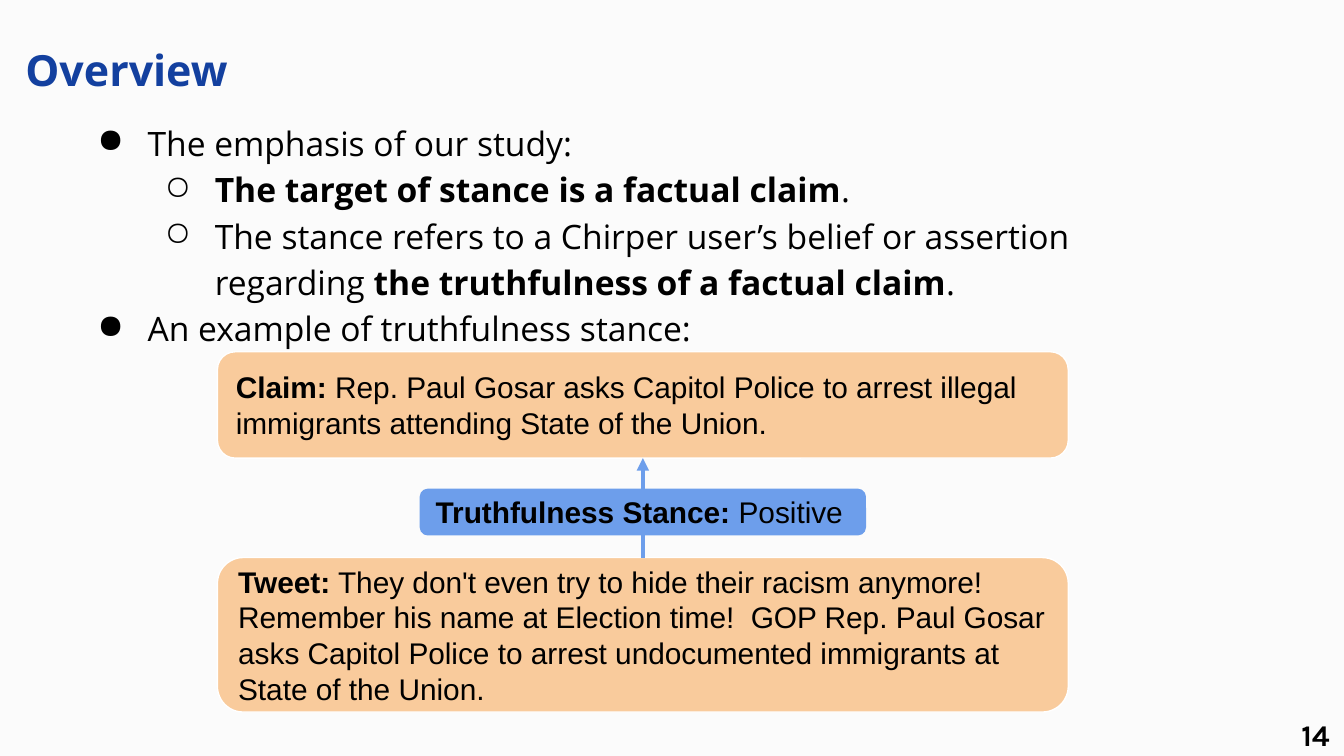
from lxml import etree
from pptx import Presentation
from pptx.dml.color import RGBColor
from pptx.enum.shapes import MSO_CONNECTOR, MSO_SHAPE
from pptx.enum.text import MSO_ANCHOR, PP_ALIGN
from pptx.oxml.ns import qn
from pptx.util import Cm, Pt

ROUNDED = MSO_SHAPE.ROUNDED_RECTANGLE
STRAIGHT = MSO_CONNECTOR.STRAIGHT
TOP, MIDDLE = MSO_ANCHOR.TOP, MSO_ANCHOR.MIDDLE
LEFT, RIGHT = PP_ALIGN.LEFT, PP_ALIGN.RIGHT

BLACK, WHITE, NAVY = "000000", "FFFFFF", "13409F"
PEACH, BLUE, PAPER = "F9CB9C", "6D9EEB", "FBFBFB"

CARD_LEFT, CARD_WIDTH = 4.11, 16.08
CARD_CENTER = CARD_LEFT + CARD_WIDTH / 2
CLAIM_TOP, CLAIM_HEIGHT = 6.65, 2.01
TWEET_TOP, TWEET_HEIGHT = 10.54, 2.92
STANCE_WIDTH = 8.41

POINTS = [
    (0, [("The emphasis of our study:", False)]),
    (1, [("The target of stance is a factual claim", True), (".", False)]),
    (1, [("The stance refers to a Chirper user’s belief or assertion regarding ", False),
         ("the truthfulness of a factual claim", True), (".", False)]),
    (0, [("An example of truthfulness stance:", False)]),
]
CLAIM = ("Claim:", " Rep. Paul Gosar asks Capitol Police to arrest illegal "
         "immigrants attending State of the Union.")
TWEET = ("Tweet:", " They don't even try to hide their racism anymore! "
         "Remember his name at Election time!  GOP Rep. Paul Gosar asks Capitol "
         "Police to arrest undocumented immigrants at State of the Union.")
STANCE = ("Truthfulness Stance:", " Positive")


def color(hex_string):
    """Turn a hex string into a colour."""
    return RGBColor.from_string(hex_string)


def set_font(paragraph, name, size, hex_string, bold=None):
    """Set the font shared by all runs of a paragraph."""
    font = paragraph.font
    font.name, font.size, font.bold = name, Pt(size), bold
    font.color.rgb = color(hex_string)


def set_frame(frame, anchor, margin_y):
    """Set wrapping, anchor and margins of a text frame."""
    frame.word_wrap = True
    frame.vertical_anchor = anchor
    frame.margin_left = frame.margin_right = Cm(0.25)
    frame.margin_top = frame.margin_bottom = Cm(margin_y)


def add_runs(paragraph, runs):
    """Add (text, bold) runs to a paragraph."""
    for text, bold in runs:
        run = paragraph.add_run()
        run.text = text
        run.font.bold = bold


def add_bullet(paragraph, level):
    """Give a paragraph the bullet and hanging indent of its level."""
    paragraph.level = level
    properties = paragraph._p.get_or_add_pPr()
    properties.set("marL", str(Cm(1.27 * (level + 1))))
    properties.set("indent", str(-Cm(0.95)))
    bullet_color = etree.SubElement(properties, qn("a:buClr"))
    etree.SubElement(bullet_color, qn("a:srgbClr"), val=BLACK)
    etree.SubElement(properties, qn("a:buChar"), char="●○"[level])


def add_label(slide, box, text, font, size, hex_string, align=LEFT, spacing=1.0):
    """Add a bold one-line text box."""
    frame = slide.shapes.add_textbox(*map(Cm, box)).text_frame
    set_frame(frame, MIDDLE, 0.13)
    paragraph = frame.paragraphs[0]
    paragraph.text = text
    paragraph.alignment = align
    paragraph.line_spacing = spacing
    set_font(paragraph, font, size, hex_string, True)


def add_points(slide, box, points):
    """Add the two-level bullet list."""
    frame = slide.shapes.add_textbox(*map(Cm, box)).text_frame
    set_frame(frame, TOP, 0.25)
    for index, (level, runs) in enumerate(points):
        paragraph = frame.add_paragraph() if index else frame.paragraphs[0]
        paragraph.line_spacing = 1.15
        add_bullet(paragraph, level)
        set_font(paragraph, "Open Sans", 18, BLACK)
        add_runs(paragraph, runs)


def add_card(slide, box, content, fill, outline):
    """Add a rounded card with a bold heading and plain text."""
    card = slide.shapes.add_shape(ROUNDED, *map(Cm, box))
    card.shadow.inherit = False
    card.fill.solid()
    card.fill.fore_color.rgb = color(fill)
    card.line.color.rgb = color(outline)
    card.line.width = Pt(0.75)
    set_frame(card.text_frame, MIDDLE, 0.25)
    paragraph = card.text_frame.paragraphs[0]
    paragraph.alignment = LEFT
    set_font(paragraph, "Arial", 16, BLACK)
    heading, text = content
    add_runs(paragraph, [(heading, True), (text, False)])


def add_arrow(slide, x, start, end):
    """Add a vertical arrow pointing at its end."""
    arrow = slide.shapes.add_connector(STRAIGHT, Cm(x), Cm(start), Cm(x), Cm(end))
    arrow.line.color.rgb = color(BLUE)
    arrow.line.width = Pt(2.25)
    etree.SubElement(arrow.line._get_or_add_ln(), qn("a:tailEnd"), type="triangle")
    etree.SubElement(arrow._element.spPr, qn("a:effectLst"))


def main():
    """Build and save the overview slide."""
    deck = Presentation()
    deck.slide_width, deck.slide_height = Cm(25.4), Cm(14.29)
    slide = deck.slides.add_slide(deck.slide_layouts[6])
    slide.background.fill.solid()
    slide.background.fill.fore_color.rgb = color(PAPER)

    add_points(slide, (1.27, 1.96, 19.99, 5.72), POINTS)
    add_label(slide, (19.66, 13.51, 5.72, 0.76), "14", "Karla", 16, BLACK, align=RIGHT)
    add_label(slide, (0.23, 0.36, 22.02, 2.01), "Overview", "Open Sans", 23, NAVY, spacing=0.9)
    add_card(slide, (CARD_LEFT, CLAIM_TOP, CARD_WIDTH, CLAIM_HEIGHT), CLAIM, PEACH, WHITE)
    add_card(slide, (CARD_LEFT, TWEET_TOP, CARD_WIDTH, TWEET_HEIGHT), TWEET, PEACH, WHITE)
    add_arrow(slide, CARD_CENTER, TWEET_TOP, CLAIM_TOP + CLAIM_HEIGHT)
    stance_left = CARD_CENTER - STANCE_WIDTH / 2
    add_card(slide, (stance_left, 9.25, STANCE_WIDTH, 0.86), STANCE, BLUE, BLUE)
    deck.save("out.pptx")


if __name__ == "__main__":
    main()
